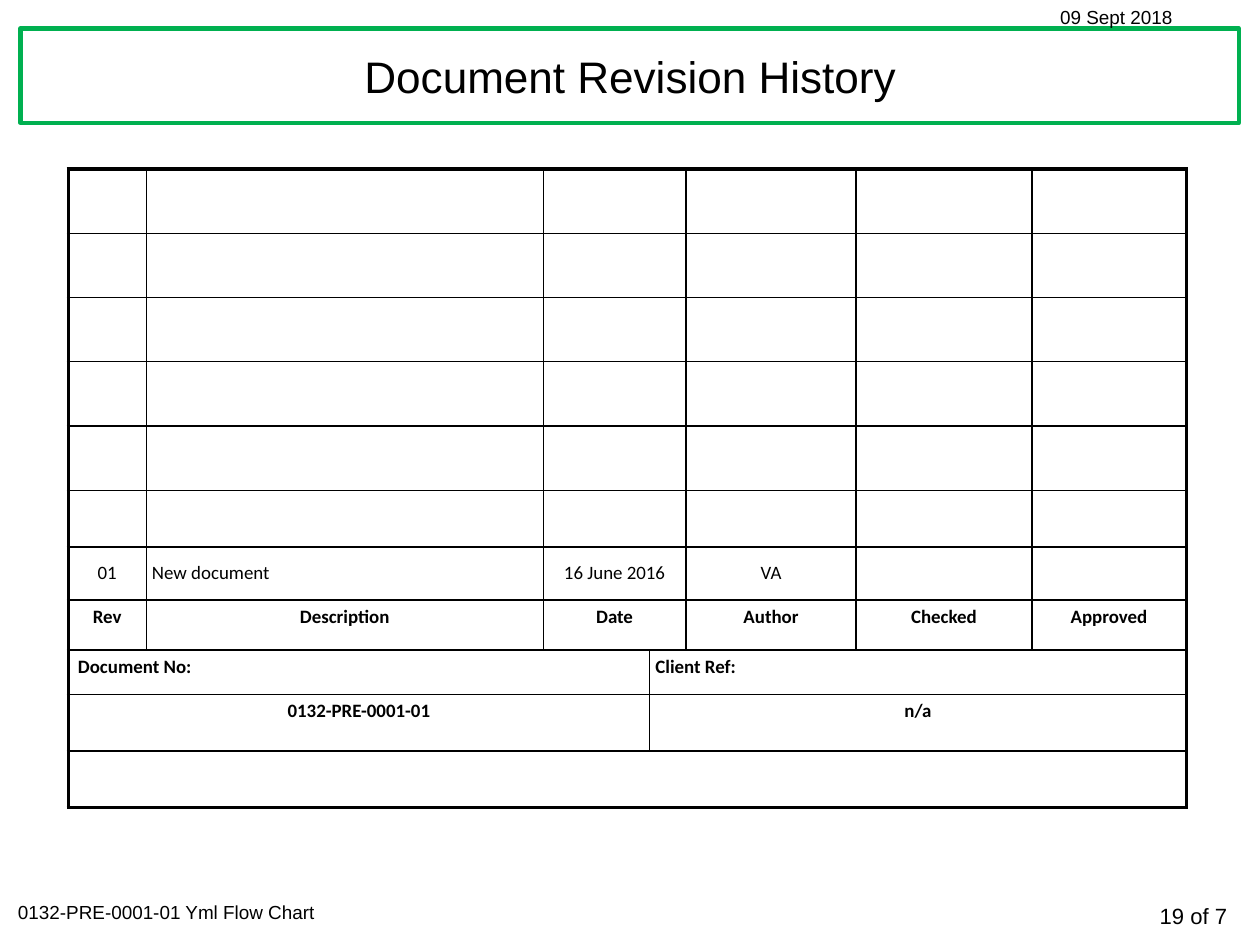
import lxml.etree
import pptx
import pptx.dml.color
import pptx.enum.shapes
import pptx.enum.text
import pptx.oxml.ns
import pptx.util

Pt = pptx.util.Pt
Align = pptx.enum.text.PP_ALIGN
Anchor = pptx.enum.text.MSO_ANCHOR

COLUMN_WIDTHS = [49.7, 252, 67.7, 23, 108, 111.6, 97.9]
ROW_HEIGHTS = [40.8] * 5 + [36, 33.8, 31.7, 28.1, 36, 36]
REVISION_ROW, HEADING_ROW, LABEL_ROW, NUMBER_ROW, LAST_ROW = range(6, 11)
REVISION = {0: "01", 1: "New document", 2: "16 June 2016", 4: "VA"}
HEADINGS = {0: "Rev", 1: "Description", 2: "Date", 4: "Author", 5: "Checked", 6: "Approved"}
LABELS = {0: " Document No:", 3: "Client Ref:"}
NUMBERS = {0: "0132-PRE-0001-01", 3: "n/a"}


def color(value):
    return pptx.dml.color.RGBColor.from_string(value)


class SlideBuilder:
    ink = "000000"
    paper = "FFFFFF"
    frame = "00B050"
    font = "Arial"
    table_font = "Calibri"
    cell_margin = 3.6
    thin, thick = 1, 2.25

    def __init__(self, slide):
        self.slide = slide

    def run(self, paragraph, text, size, font, bold=False):
        run = paragraph.add_run()
        run.text = text
        run.font.name = font
        run.font.size = Pt(size)
        run.font.bold = bold
        run.font.color.rgb = color(self.ink)

    def rectangle(self, left, top, width, height, line_width):
        shape = self.slide.shapes.add_shape(
            pptx.enum.shapes.MSO_SHAPE.RECTANGLE, Pt(left), Pt(top), Pt(width), Pt(height))
        shape.shadow.inherit = False
        shape.fill.solid()
        shape.fill.fore_color.rgb = color(self.paper)
        shape.line.color.rgb = color(self.frame)
        shape.line.width = Pt(line_width)

    def text(self, left, top, width, height, text, size, align=Align.LEFT, anchor=Anchor.TOP):
        box = self.slide.shapes.add_textbox(Pt(left), Pt(top), Pt(width), Pt(height))
        box.text_frame.word_wrap = True
        box.text_frame.vertical_anchor = anchor
        paragraph = box.text_frame.paragraphs[0]
        paragraph.alignment = align
        self.run(paragraph, text, size, self.font)

    def table(self, left, top, column_widths, row_heights):
        table = self.slide.shapes.add_table(
            len(row_heights), len(column_widths), Pt(left), Pt(top),
            Pt(sum(column_widths)), Pt(sum(row_heights))).table
        table.first_row = table.horz_banding = False
        for column, width in zip(table.columns, column_widths):
            column.width = Pt(width)
        for row, height in zip(table.rows, row_heights):
            row.height = Pt(height)
        return table

    def borders(self, cell, widths):
        """Draw the cell's sides; widths maps L, R, T and B to points."""
        properties = cell._tc.get_or_add_tcPr()
        for side, width in widths.items():
            line = lxml.etree.SubElement(
                properties, pptx.oxml.ns.qn("a:ln" + side), w=str(int(Pt(width))))
            fill = lxml.etree.SubElement(line, pptx.oxml.ns.qn("a:solidFill"))
            lxml.etree.SubElement(fill, pptx.oxml.ns.qn("a:srgbClr"), val=self.ink)

    def style_cells(self, table):
        """Rule the grid thin inside and thick around the outside."""
        row_count, column_count = len(table.rows), len(table.columns)
        for row in range(row_count):
            for column in range(column_count):
                cell = table.cell(row, column)
                span = cell.span_width if cell.is_merge_origin else 1
                outer = {"L": column == 0, "R": column + span == column_count,
                         "T": row == 0, "B": row == row_count - 1}
                self.borders(cell, {side: self.thick if edge else self.thin
                                    for side, edge in outer.items()})
                cell.fill.background()
                cell.margin_left = cell.margin_right = Pt(self.cell_margin)
                cell.margin_top = cell.margin_bottom = Pt(self.cell_margin)

    def fill_row(self, table, row, texts, bold=True, anchor=Anchor.TOP, left_columns=()):
        for column, text in texts.items():
            cell = table.cell(row, column)
            cell.vertical_anchor = anchor
            paragraph = cell.text_frame.paragraphs[0]
            paragraph.alignment = Align.LEFT if column in left_columns else Align.CENTER
            self.run(paragraph, text, 12, self.table_font, bold)


def main():
    presentation = pptx.Presentation()
    presentation.slide_width, presentation.slide_height = Pt(800), Pt(600)
    builder = SlideBuilder(presentation.slides.add_slide(presentation.slide_layouts[6]))

    builder.rectangle(13, 18, 773.5, 60, 2.75)
    builder.text(676.8, 569.5, 109.5, 24.5, "19 of 7", 14, Align.RIGHT)
    builder.text(4.3, 568, 287.3, 21.6, "0132-PRE-0001-01 Yml Flow Chart", 12)
    builder.text(666, 0, 121, 21.6, "09 Sept 2018", 12)
    builder.text(15, 18, 770, 60, "Document Revision History", 28, Align.CENTER, Anchor.MIDDLE)

    table = builder.table(43.2, 107.3, COLUMN_WIDTHS, ROW_HEIGHTS)
    merges = [(row, 2, 3) for row in range(LABEL_ROW)]
    merges += [(row, *ends) for row in (LABEL_ROW, NUMBER_ROW) for ends in ((0, 2), (3, 6))]
    merges.append((LAST_ROW, 0, 6))
    for row, first, last in merges:
        table.cell(row, first).merge(table.cell(row, last))
    builder.style_cells(table)
    builder.fill_row(table, REVISION_ROW, REVISION, False, Anchor.MIDDLE, left_columns=(1,))
    builder.fill_row(table, HEADING_ROW, HEADINGS)
    builder.fill_row(table, LABEL_ROW, LABELS, left_columns=LABELS)
    builder.fill_row(table, NUMBER_ROW, NUMBERS)

    presentation.save("out.pptx")


if __name__ == "__main__":
    main()
